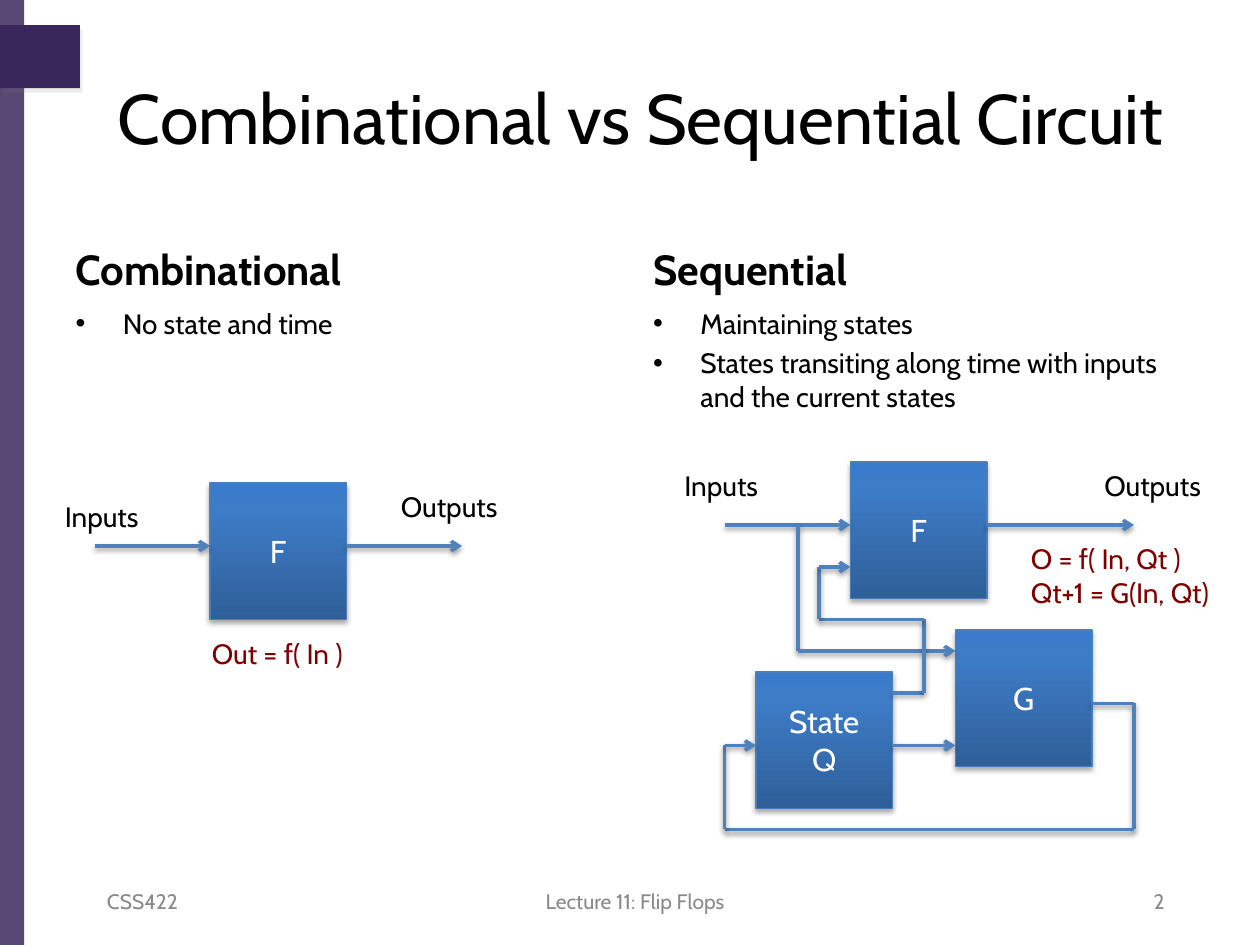
from dataclasses import dataclass
from itertools import pairwise

from lxml.etree import SubElement
from pptx import Presentation
from pptx.dml.color import RGBColor
from pptx.enum.shapes import MSO_CONNECTOR, MSO_SHAPE
from pptx.enum.text import MSO_ANCHOR, MSO_AUTO_SIZE, PP_ALIGN
from pptx.oxml.ns import qn
from pptx.util import Emu, Pt

PX = 7620  # 120 px to the inch


@dataclass(frozen=True)
class Theme:
    font: str = "Cabin"
    ink: str = "000000"
    formula: str = "800000"
    footer: str = "898989"
    block_text: str = "FFFFFF"
    band: str = "39275B"
    block_line: str = "4B7EBC"
    wire: str = "4F81BD"
    gradient: tuple = ((0, "2F5F99"), (80, "3D7CC7"), (100, "3A7CCB"))
    title_size: int = 40
    heading_size: int = 24
    text_size: int = 16
    block_size: int = 18
    footer_size: int = 12


@dataclass(frozen=True)
class Shadow:
    color: str
    alpha: int
    blur: float
    distance: float
    angle: int


@dataclass(frozen=True)
class Area:
    left: int
    top: int
    width: int
    height: int

    def emu(self) -> list:
        return [Emu(n * PX) for n in (self.left, self.top, self.width, self.height)]


@dataclass(frozen=True)
class Block:
    text: str
    left: int
    top: int
    side: int = 130


@dataclass(frozen=True)
class Label:
    text: str
    area: Area
    color: str


@dataclass(frozen=True)
class Wire:
    points: tuple
    arrow: bool = True


THEME = Theme()
BAND_SHADOW = Shadow("808080", 15, 0, 3, 60)
BLOCK_SHADOW = Shadow("000000", 35, 3.1, 1.8, 90)
WIRE_SHADOW = Shadow("000000", 38, 3.1, 1.6, 90)

BLOCKS = [Block("F", 200, 460), Block("F", 810, 440),
          Block("G", 910, 600), Block("State\nQ", 720, 640)]

WIRES = [
    # Combinational circuit
    Wire(((90, 520), (200, 520))),
    Wire(((330, 520), (440, 520))),
    # Sequential circuit: inputs, outputs, branch to G, state to G
    Wire(((690, 500), (810, 500))),
    Wire(((940, 500), (1080, 500))),
    Wire(((760, 500), (760, 620), (910, 620))),
    Wire(((850, 710), (910, 710))),
    # State to F, then G back to state
    Wire(((850, 660), (880, 660), (880, 590), (780, 590), (780, 540), (810, 540))),
    Wire(((1040, 670), (1080, 670), (1080, 790), (690, 790), (690, 710), (720, 710))),
]

LABELS = [
    Label("Inputs", Area(50, 470, 97, 44), THEME.ink),
    Label("Outputs", Area(370, 460, 119, 44), THEME.ink),
    Label("Inputs", Area(640, 440, 97, 44), THEME.ink),
    Label("Outputs", Area(1040, 440, 119, 44), THEME.ink),
    Label("Out = f( In )", Area(190, 600, 161, 44), THEME.formula),
    Label("O = f( In, Qt )\nQt+1 = G(In, Qt)", Area(970, 510, 218, 77), THEME.formula),
]

FOOTERS = [
    ("CSS422", Area(90, 834, 280, 48), PP_ALIGN.LEFT),
    ("Lecture 11: Flip Flops", Area(415, 834, 380, 48), PP_ALIGN.CENTER),
    ("2", Area(841, 834, 280, 48), PP_ALIGN.RIGHT),
]


def write(frame, text: str, size: int, color: str, align=None, bold=False) -> None:
    frame.text = text
    for para in frame.paragraphs:
        para.alignment = align
        for span in para.runs:
            values = {"name": THEME.font, "size": Pt(size), "bold": bold}
            for name, value in values.items():
                setattr(span.font, name, value)
            span.font.color.rgb = RGBColor.from_string(color)


def add_color(parent, color: str, alpha: int = 100) -> None:
    node = SubElement(parent, qn("a:srgbClr"), val=color)
    if alpha < 100:
        SubElement(node, qn("a:alpha"), val=str(alpha * 1000))


def add_shadow(shape, shadow: Shadow) -> None:
    effects = SubElement(shape.element.spPr, qn("a:effectLst"))
    outer = SubElement(effects, qn("a:outerShdw"), blurRad=str(Pt(shadow.blur)),
                       dist=str(Pt(shadow.distance)), dir=str(shadow.angle * 60000),
                       algn="ctr", rotWithShape="0")
    add_color(outer, shadow.color, shadow.alpha)


def add_band(page, area: Area, order: int):
    band = page.shapes.add_shape(MSO_SHAPE.RECTANGLE, *area.emu())
    band.fill.solid()
    band.fill.fore_color.rgb = RGBColor.from_string(THEME.band)
    band.line.fill.background()
    band.element.getparent().insert(2 + order, band.element)
    return band


def fill_placeholder(shape, area: Area, text: str, size: int, anchor,
                     align=None, bold=False, bullets=False) -> None:
    shape.left, shape.top, shape.width, shape.height = area.emu()
    frame = shape.text_frame
    write(frame, text, size, THEME.ink, align, bold)
    settings = {"vertical_anchor": anchor, "word_wrap": True,
                "auto_size": MSO_AUTO_SIZE.NONE}
    for name, value in settings.items():
        setattr(frame, name, value)
    if bullets:
        for para in frame.paragraphs:
            props = para._p.get_or_add_pPr()
            props.set("marL", str(45 * PX))
            props.set("indent", str(-45 * PX))
            SubElement(props, qn("a:buFont"), typeface="Arial")
            SubElement(props, qn("a:buChar"), char="•")


def add_block(page, block: Block) -> None:
    area = Area(block.left, block.top, block.side, block.side)
    box = page.shapes.add_shape(MSO_SHAPE.RECTANGLE, *area.emu())
    box.fill.gradient()
    box.fill.gradient_angle = 90
    stops = box.element.spPr.find(qn("a:gradFill")).find(qn("a:gsLst"))
    stops.clear()
    for position, color in THEME.gradient:
        add_color(SubElement(stops, qn("a:gs"), pos=str(position * 1000)), color)
    box.line.color.rgb = RGBColor.from_string(THEME.block_line)
    box.line.width = Pt(0.75)
    add_shadow(box, BLOCK_SHADOW)
    box.text_frame.vertical_anchor = MSO_ANCHOR.MIDDLE
    write(box.text_frame, block.text, THEME.block_size, THEME.block_text, PP_ALIGN.CENTER)


def add_wire(page, wire: Wire) -> None:
    for start, end in pairwise(wire.points):
        ends = [Emu(n * PX) for n in (*start, *end)]
        line = page.shapes.add_connector(MSO_CONNECTOR.STRAIGHT, *ends)
        line.line.color.rgb = RGBColor.from_string(THEME.wire)
        line.line.width = Pt(2)
        if wire.arrow and end == wire.points[-1]:
            SubElement(line.element.spPr.find(qn("a:ln")), qn("a:tailEnd"), type="arrow")
        add_shadow(line, WIRE_SHADOW)


def add_text(page, area: Area, text: str, size: int, color: str,
             align=None, anchor=MSO_ANCHOR.TOP, wrap=False) -> None:
    frame = page.shapes.add_textbox(*area.emu()).text_frame
    frame.word_wrap = wrap
    frame.vertical_anchor = anchor
    frame.auto_size = MSO_AUTO_SIZE.NONE if wrap else MSO_AUTO_SIZE.SHAPE_TO_FIT_TEXT
    write(frame, text, size, color, align)


def main() -> None:
    deck = Presentation()
    deck.slide_width, deck.slide_height = Emu(1200 * PX), Emu(900 * PX)
    page = deck.slides.add_slide(deck.slide_layouts.get_by_name("Comparison"))

    # Side decoration
    stripe = add_band(page, Area(0, 0, 23, 900), 0)
    stripe.shadow.inherit = False
    add_color_node = stripe.element.spPr.find(qn("a:solidFill"))[0]
    SubElement(add_color_node, qn("a:alpha"), val="85000")
    add_shadow(add_band(page, Area(0, 24, 76, 60), 1), BAND_SHADOW)

    # Title and the two columns
    title, *columns = page.placeholders
    fill_placeholder(title, Area(20, 36, 1180, 150), "Combinational vs Sequential Circuit",
                     THEME.title_size, MSO_ANCHOR.MIDDLE, PP_ALIGN.CENTER)
    topics = [
        (60, "Combinational", "No state and time", 114),
        (610, "Sequential", "Maintaining states\nStates transiting along time with "
                            "inputs and the current states", 125),
    ]
    for (left, heading, points, height), head, body in zip(topics, columns[::2], columns[1::2]):
        fill_placeholder(head, Area(left, 202, 530, 84), heading,
                         THEME.heading_size, MSO_ANCHOR.BOTTOM, bold=True)
        fill_placeholder(body, Area(left, 286, 530, height), points,
                         THEME.text_size, MSO_ANCHOR.TOP, bullets=True)

    # Footer
    for text, area, align in FOOTERS:
        add_text(page, area, text, THEME.footer_size, THEME.footer,
                 align, MSO_ANCHOR.MIDDLE, wrap=True)

    # Circuit diagrams
    for block in BLOCKS:
        add_block(page, block)
    for wire in WIRES:
        add_wire(page, wire)
    for label in LABELS:
        add_text(page, label.area, label.text, THEME.text_size, label.color)

    deck.save("out.pptx")


if __name__ == "__main__":
    main()
